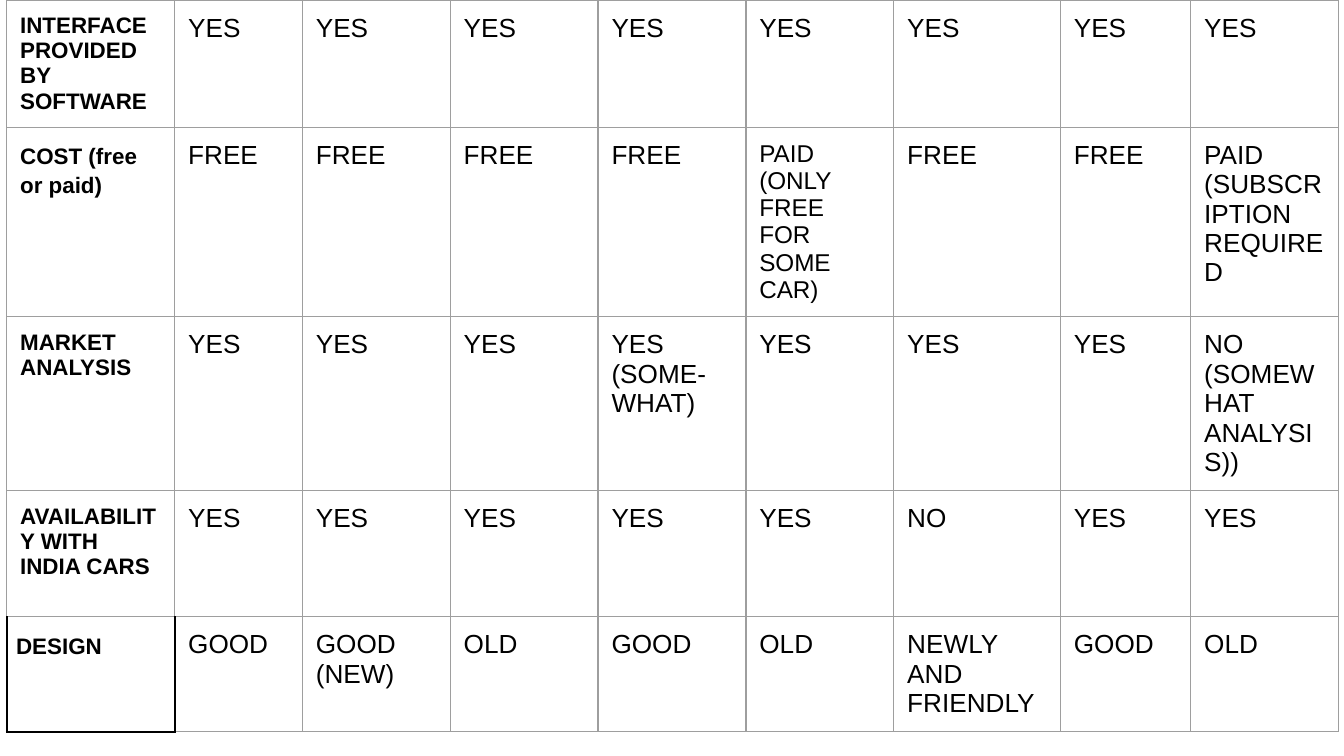
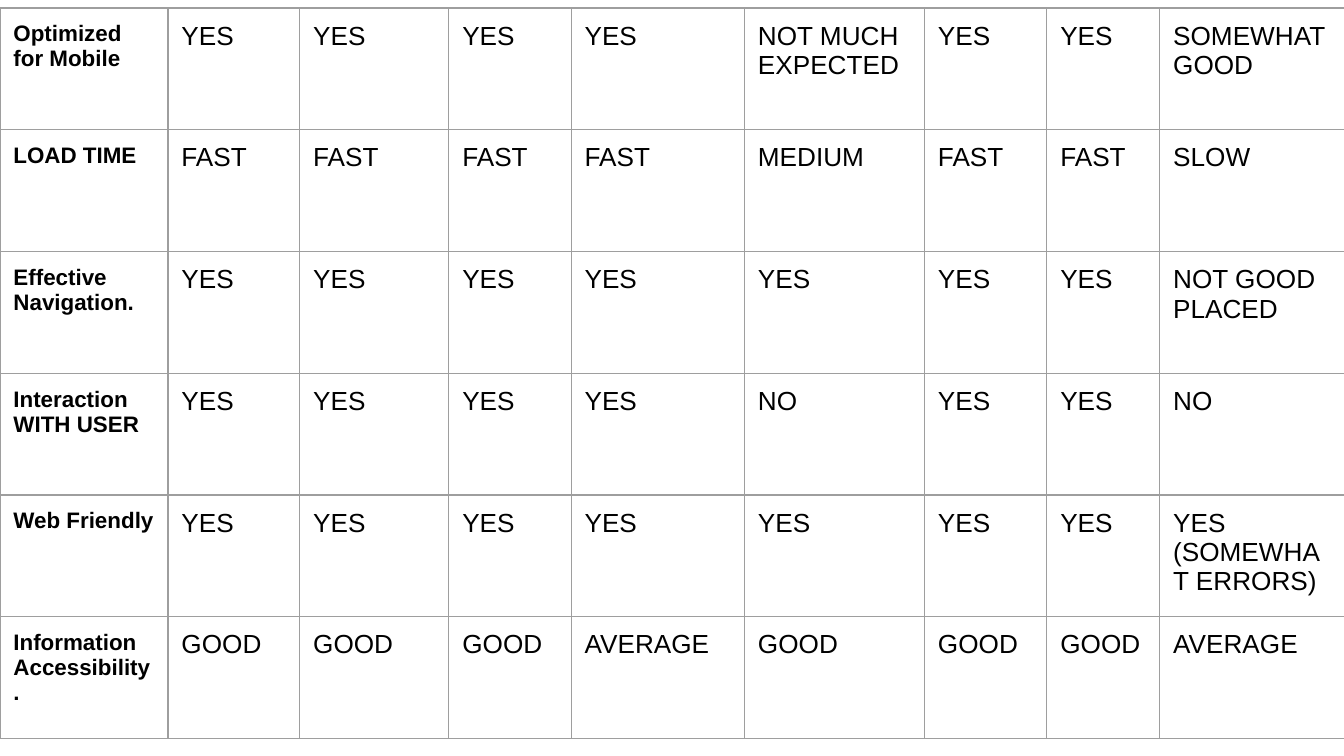
from dataclasses import dataclass
from lxml.etree import SubElement
from pptx import Presentation
from pptx.dml.color import RGBColor
from pptx.oxml.ns import qn
from pptx.util import Pt

# Content: row label, then one answer per column; "\n" starts a paragraph
FEATURES = dict(
    left=3.6, top=0,
    widths=[90, 68.4, 79.2, 79.2, 79.2, 79.2, 89.28, 69.84, 79.2],
    heights=[62.64, 77.04, 92.16, 67.68, 43.92],
    rows=[
        ["INTERFACE PROVIDED BY SOFTWARE"] + ["YES"] * 8,
        ["COST (free or paid)", "FREE", "FREE", "FREE", "FREE",
         "PAID\n(ONLY FREE FOR SOME CAR)", "FREE", "FREE",
         "PAID\n(SUBSCRIPTION REQUIRED"],
        ["MARKET ANALYSIS", "YES", "YES", "YES", "YES (SOME-\nWHAT)",
         "YES", "YES", "YES", "NO\n(SOMEWHAT ANALYSIS))"],
        ["AVAILABILITY WITH INDIA CARS", "YES", "YES", "YES", "YES",
         "YES", "NO", "YES", "YES"],
        ["DESIGN", "GOOD", "GOOD\n(NEW)", "OLD", "GOOD", "OLD",
         "NEWLY AND FRIENDLY", "GOOD", "OLD"],
    ],
    # Exceptions, keyed by (row, column)
    formats={
        (1, 0): dict(line_spacing=1.15),
        (1, 5): dict(size=13),
        (4, 0): dict(line_spacing=1.15, side_inset=5.04, dark_edges="LRB"),
        (4, 1): dict(dark_edges="L"),
    },
)
USABILITY = dict(
    left=0, top=4.32,
    widths=[90, 70.56, 79.92, 65.52, 92.88, 96.48, 65.52, 60.48, 99.36],
    heights=[65.25] * 6,
    rows=[
        ["Optimized for Mobile", "YES", "YES", "YES", "YES",
         "NOT MUCH EXPECTED", "YES", "YES", "SOMEWHAT GOOD"],
        ["LOAD TIME", "FAST", "FAST", "FAST", "FAST", "MEDIUM",
         "FAST", "FAST", "SLOW"],
        ["Effective Navigation."] + ["YES"] * 7 + ["NOT GOOD\nPLACED"],
        ["Interaction\nWITH USER", "YES", "YES", "YES", "YES", "NO",
         "YES", "YES", "NO"],
        ["Web Friendly"] + ["YES"] * 7 + ["YES\n(SOMEWHAT ERRORS)"],
        ["Information Accessibility.", "GOOD", "GOOD", "GOOD", "AVERAGE",
         "GOOD", "GOOD", "GOOD", "AVERAGE"],
    ],
    formats={},
)


@dataclass(frozen=True)
class Theme:
    font: str = "Arial"
    ink: str = "000000"
    grid: str = "9E9E9E"
    label_size: float = 12
    answer_size: float = 14
    inset: float = 7.2
    grid_width: float = 0.75
    dark_width: float = 1


THEME = Theme()


def draw_edges(cell, dark_edges):
    properties = cell._tc.get_or_add_tcPr()
    for side in "LRTB":
        dark = side in dark_edges
        width = THEME.dark_width if dark else THEME.grid_width
        line = SubElement(properties, qn(f"a:ln{side}"), w=str(Pt(width)))
        fill = SubElement(line, qn("a:solidFill"))
        SubElement(fill, qn("a:srgbClr"), val=THEME.ink if dark else THEME.grid)


def write_cell(cell, text, size=THEME.answer_size, bold=False,
               line_spacing=None, side_inset=THEME.inset, dark_edges=""):
    draw_edges(cell, dark_edges)
    cell.fill.background()
    cell.margin_left = cell.margin_right = Pt(side_inset)
    cell.margin_top = cell.margin_bottom = Pt(THEME.inset)
    frame = cell.text_frame
    for index, words in enumerate(text.split("\n")):
        para = frame.add_paragraph() if index else frame.paragraphs[0]
        if line_spacing:
            para.line_spacing = line_spacing
        span = para.add_run()
        span.text = words
        span.font.name = THEME.font
        span.font.size = Pt(size)
        span.font.bold = bold
        span.font.color.rgb = RGBColor.from_string(THEME.ink)


def add_comparison(page, left, top, widths, heights, rows, formats):
    table = page.shapes.add_table(
        len(rows), len(widths), Pt(left), Pt(top),
        Pt(sum(widths)), Pt(sum(heights))).table
    table.first_row = table.horz_banding = False
    for column, width in zip(table.columns, widths):
        column.width = Pt(width)
    for row, height in zip(table.rows, heights):
        row.height = Pt(height)
    label = dict(size=THEME.label_size, bold=True)
    for r, texts in enumerate(rows):
        for c, text in enumerate(texts):
            style = {} if c else label
            write_cell(table.cell(r, c), text,
                       **{**style, **formats.get((r, c), {})})


def main():
    deck = Presentation()
    deck.slide_width, deck.slide_height = Pt(720), Pt(405)
    blank = deck.slide_layouts[6]
    for comparison in (FEATURES, USABILITY):
        add_comparison(deck.slides.add_slide(blank), **comparison)
    deck.save("out.pptx")


if __name__ == "__main__":
    main()
